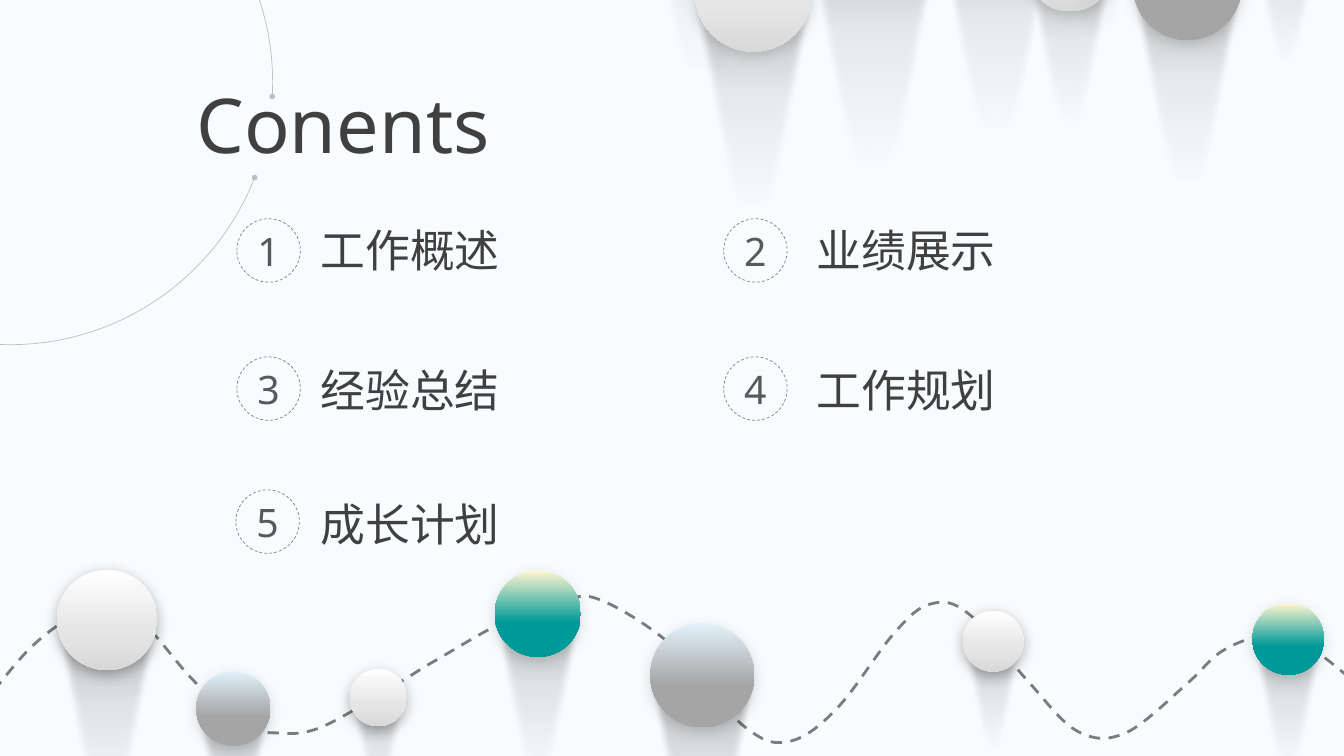
from dataclasses import dataclass

from lxml import etree
from pptx import Presentation
from pptx.dml.color import RGBColor
from pptx.enum.dml import MSO_LINE
from pptx.enum.shapes import MSO_SHAPE
from pptx.enum.text import MSO_ANCHOR, MSO_AUTO_SIZE, PP_ALIGN
from pptx.oxml.ns import qn
from pptx.util import Emu, Pt

DASH = MSO_LINE.DASH
OVAL, ARC = MSO_SHAPE.OVAL, MSO_SHAPE.ARC
TOP, MIDDLE = MSO_ANCHOR.TOP, MSO_ANCHOR.MIDDLE
LEFT, CENTER = PP_ALIGN.LEFT, PP_ALIGN.CENTER
NO_FIT = MSO_AUTO_SIZE.NONE

SLIDE_W, SLIDE_H = Emu(12192000), Emu(6858000)
ROWS = 75
CELL = SLIDE_H / ROWS
FONT = "Noto Sans"
COLORS = {
    "page": "F8FCFE", "text": "404040", "digit": "595959", "ring": "808080",
    "arc": "BFBFBF", "wave": "7C7C7C", "black": "000000", "soot": "262626",
    "white": "FFFFFF", "pearl": "E7E6E6", "silver": "D9D9D9", "ice": "E1F0F9",
    "grey": "A5A5A5", "cream": "FFF6CF", "teal": "009999",
}
Point = tuple[float, float]
Stop = tuple[int, str, int]


@dataclass(frozen=True)
class Finish:
    stops: tuple[Stop, ...]
    shadow: int = 15


@dataclass(frozen=True)
class Pin:
    left: float
    top: float
    width: float
    ball: str = ""
    ratio: float = 2.48


@dataclass(frozen=True)
class Topic:
    number: str
    left: float
    top: float


@dataclass(frozen=True)
class TopicList:
    left: float
    names: tuple[str, ...]


PEARL = ((0, "white", 100), (60, "pearl", 100), (100, "silver", 100))
FINISHES = {
    "pearl": Finish(PEARL),
    "deep": Finish(PEARL, 30),
    "grey": Finish(((1, "ice", 100), (60, "grey", 100), (100, "grey", 100))),
    "teal": Finish(((0, "cream", 100), (60, "teal", 100), (100, "teal", 100))),
}
UPPER_BEAM = ((0, "soot", 30), (30, "black", 8), (50, "black", 4), (70, "black", 0))
LOWER_BEAM = ((0, "black", 30), (30, "black", 10), (50, "black", 5), (70, "black", 0))
UPPER_PINS = (
    Pin(88.4, -14.4, 6.4), Pin(97.7, -16.3, 8.4), Pin(92.9, -28.3, 13.7),
    Pin(89.2, -21, 10.3), Pin(123.7, -5.9, 7.8, ratio=2.35),
    Pin(101.4, -3.2, 9.5, "pearl"), Pin(92.4, -8.1, 12.8), Pin(62.5, -17.5, 14.9),
    Pin(78.2, -16.2, 9), Pin(76.2, -22.3, 9.6), Pin(79.2, -8.5, 14.9),
    Pin(73.2, -12, 10), Pin(68.35, -0.7, 12.8, "pearl"), Pin(103, -16.1, 11.8),
    Pin(110.2, -10.4, 6.9, ratio=2.26), Pin(111.9, -1.4, 11.8, "grey"),
)
LOWER_PINS = (
    Pin(5.15, 61.5, 10.95, "deep"), Pin(19.1, 70.3, 8.1, "grey"),
    Pin(34.4, 69.2, 6.25, "deep", 2.4), Pin(48.65, 60.9, 9.4, "teal"),
    Pin(64, 67, 11.35, "grey"), Pin(95.2, 63.6, 6.65, "deep", 2.45),
    Pin(123.9, 63.4, 7.8, "teal"),
)
BEAM = ((1, 0), (0.84, 0.33), (0.55, 1.01), (0.5, 0.99), (0.45, 1.01), (0.16, 0.33), (0, 0))
WAVE = (
    (-0.6, 68.5), (0.6, 67), (1.8, 65.5), (2.9, 64.4), (4.1, 63.2), (5.3, 62.3), (6.4, 61.6),
    (7.4, 60.9), (8.1, 60.4), (9.2, 60.2), (10.2, 60.1), (11.5, 60.2), (12.5, 60.6),
    (13.5, 61), (13.8, 61.4), (14.9, 62.5), (16, 63.6), (17.8, 66.1), (19.1, 67.4),
    (20.3, 68.7), (21.5, 69.8), (22.4, 70.5), (23.3, 71.3), (23.8, 71.6), (24.6, 72),
    (25.4, 72.3), (25.8, 72.7), (27.1, 72.7), (28.4, 72.7), (29.7, 73.1), (32.2, 72),
    (34.7, 70.9), (42.2, 66.1), (42.2, 66.1), (45.2, 64.4), (47.8, 62.7), (50, 61.7),
    (52.2, 60.6), (53.8, 60.2), (55.4, 59.8), (57, 59.4), (57.6, 58.7), (59.5, 59.5),
    (61.4, 60.2), (64.6, 62.2), (67, 64.3), (69.3, 66.3), (71.7, 70.2), (73.5, 71.8),
    (75.4, 73.3), (76.4, 73.9), (78, 73.6), (79.6, 73.4), (81.2, 72.2), (83, 70.3),
    (84.8, 68.5), (87.3, 64.3), (88.9, 62.6), (90.4, 60.9), (91.2, 60.2), (92.4, 59.9),
    (93.6, 59.6), (94.5, 59.6), (96.1, 60.9), (97.8, 62.2), (100.3, 65.8), (102.1, 67.7),
    (103.9, 69.7), (105.4, 71.8), (107, 72.6), (108.6, 73.4), (109.8, 73.5), (111.7, 72.7),
    (113.5, 71.9), (116.3, 69.1), (117.9, 67.7), (119.5, 66.3), (120, 65.3), (121.4, 64.5),
    (122.7, 63.7), (124.5, 63.1), (125.8, 63), (127.2, 62.9), (128.1, 63.2), (129.5, 64),
    (130.9, 64.7), (132.5, 66.1), (134.2, 67.5),
)
TOPICS = (
    Topic("1", 23.5, 21.7), Topic("2", 71.8, 21.7), Topic("3", 23.5, 35.4),
    Topic("4", 71.8, 35.4), Topic("5", 23.4, 48.6),
)
LISTS = (
    TopicList(30.8, ("工作概述", "经验总结", "成长计划")),
    TopicList(80, ("业绩展示", "工作规划")),
)
LIST_TOP, LIST_LINE = 20.8, 44
LIST_STEPS = (100, 96, 0)


def cells(*values: float) -> list[Emu]:
    return [Emu(round(v * CELL)) for v in values]


def rgb(name: str) -> RGBColor:
    return RGBColor.from_string(COLORS[name])


def apply(obj, **fmt) -> None:
    for key, value in fmt.items():
        setattr(obj, key, value)


def place(sp, left: float, top: float, width: float, height: float) -> None:
    apply(sp, **dict(zip(("left", "top", "width", "height"), cells(left, top, width, height))))


def write(p, text: str, size: int, color: str) -> None:
    r = p.add_run()
    r.text = text
    apply(r.font, name=FONT, size=Pt(size))
    r.font.color.rgb = rgb(color)
    etree.SubElement(r.font._element, qn("a:ea"), typeface=FONT)


def outline(sp, color: str, width: float, dash=None) -> None:
    sp.shadow.inherit = False
    sp.fill.background()
    sp.line.color.rgb = rgb(color)
    apply(sp.line, width=Pt(width), dash_style=dash)


def add_color(parent, name: str, alpha: int) -> None:
    color = etree.SubElement(parent, qn("a:srgbClr"), val=COLORS[name])
    if alpha < 100:
        etree.SubElement(color, qn("a:alpha"), val=str(alpha * 1000))


def shade(sp, stops: tuple[Stop, ...]) -> None:
    sp.shadow.inherit = False
    sp.line.fill.background()
    sp.fill.gradient()
    sp.fill.gradient_angle = 270
    gs_list = sp._element.spPr.find(qn("a:gradFill")).find(qn("a:gsLst"))
    for gs in list(gs_list):
        gs_list.remove(gs)
    for pos, name, alpha in stops:
        add_color(etree.SubElement(gs_list, qn("a:gs"), pos=str(pos * 1000)), name, alpha)


def add_effect(sp, tag: str, **attrs: str):
    return etree.SubElement(sp._element.spPr.find(qn("a:effectLst")), qn(tag), **attrs)


def add_curve(shapes, points: list[Point], close: bool):
    start, *rest = [cells(*pt) for pt in points]
    builder = shapes.build_freeform(*start, scale=1.0)
    builder.add_line_segments(rest, close=close)
    sp = builder.convert_to_shape()
    lines = list(sp._element.iter(qn("a:lnTo")))
    for i in range(0, len(lines), 3):
        curve = etree.Element(qn("a:cubicBezTo"))
        lines[i].addprevious(curve)
        for line in lines[i:i + 3]:
            curve.append(line[0])
            line.getparent().remove(line)
    return sp


def add_pin(shapes, pin: Pin, beam: tuple[Stop, ...]) -> None:
    height = pin.width * pin.ratio
    points = [(pin.left + x * pin.width, pin.top + y * height) for x, y in BEAM]
    sp = add_curve(shapes, points, True)
    shade(sp, beam)
    add_effect(sp, "a:softEdge", rad=str(Pt(5)))
    if pin.ball:
        finish, d = FINISHES[pin.ball], pin.width / 1.1
        sp = shapes.add_shape(OVAL, *cells(pin.left + (pin.width - d) / 2, pin.top - d / 2, d, d))
        shade(sp, finish.stops)
        shadow = add_effect(sp, "a:outerShdw", blurRad=str(Pt(10)), dist=str(Pt(3)),
                            dir="5400000", rotWithShape="0")
        add_color(shadow, "black", finish.shadow)


def add_arc(shapes) -> None:
    sp = shapes.add_shape(ARC, *cells(-25.05, -17.9, 52.1, 52.1))
    sp.adjustments[0], sp.adjustments[1] = 12.79, 1.88
    outline(sp, "arc", 0.5)
    for end in ("a:headEnd", "a:tailEnd"):
        etree.SubElement(sp._element.spPr.find(qn("a:ln")), qn(end), type="oval", w="sm", len="sm")


def add_topic(shapes, topic: Topic) -> None:
    sp = shapes.add_shape(OVAL, *cells(topic.left, topic.top, 6.3, 6.3))
    outline(sp, "ring", 0.5, DASH)
    tf = sp.text_frame
    apply(tf, margin_left=0, margin_right=0, margin_top=0, margin_bottom=0,
          vertical_anchor=MIDDLE, word_wrap=False)
    tf.paragraphs[0].alignment = CENTER
    write(tf.paragraphs[0], topic.number, 28, "digit")


def fill_list(sp, topics: TopicList) -> None:
    place(sp, topics.left, LIST_TOP, 20, 35)
    tf = sp.text_frame
    apply(tf, auto_size=NO_FIT, vertical_anchor=TOP, word_wrap=True)
    for i, name in enumerate(topics.names):
        p = tf.add_paragraph() if i else tf.paragraphs[0]
        apply(p, alignment=LEFT, line_spacing=Pt(LIST_LINE), space_before=Pt(0),
              space_after=Pt(max(LIST_STEPS[i] - LIST_LINE, 0)))
        p_pr = p._p.get_or_add_pPr()
        p_pr.set("marL", "0")
        p_pr.set("indent", "0")
        etree.SubElement(p_pr, qn("a:buNone"))
        write(p, name, 32, "text")


def main() -> None:
    prs = Presentation()
    apply(prs, slide_width=SLIDE_W, slide_height=SLIDE_H)
    slide = prs.slides.add_slide(prs.slide_layouts[3])
    slide.background.fill.solid()
    slide.background.fill.fore_color.rgb = rgb("page")
    title, *bodies = slide.placeholders
    place(title, 18.5, 7.2, 34.8, 10.1)
    apply(title.text_frame, auto_size=NO_FIT, vertical_anchor=MIDDLE, word_wrap=True)
    title.text_frame.paragraphs[0].alignment = LEFT
    write(title.text_frame.paragraphs[0], "Conents", 54, "text")
    for sp, topics in zip(bodies, LISTS):
        fill_list(sp, topics)
    for pin in UPPER_PINS:
        add_pin(slide.shapes, pin, UPPER_BEAM)
    add_arc(slide.shapes)
    outline(add_curve(slide.shapes, WAVE, False), "wave", 2, DASH)
    for pin in LOWER_PINS:
        add_pin(slide.shapes, pin, LOWER_BEAM)
    for topic in TOPICS:
        add_topic(slide.shapes, topic)
    prs.save("out.pptx")


if __name__ == "__main__":
    main()
